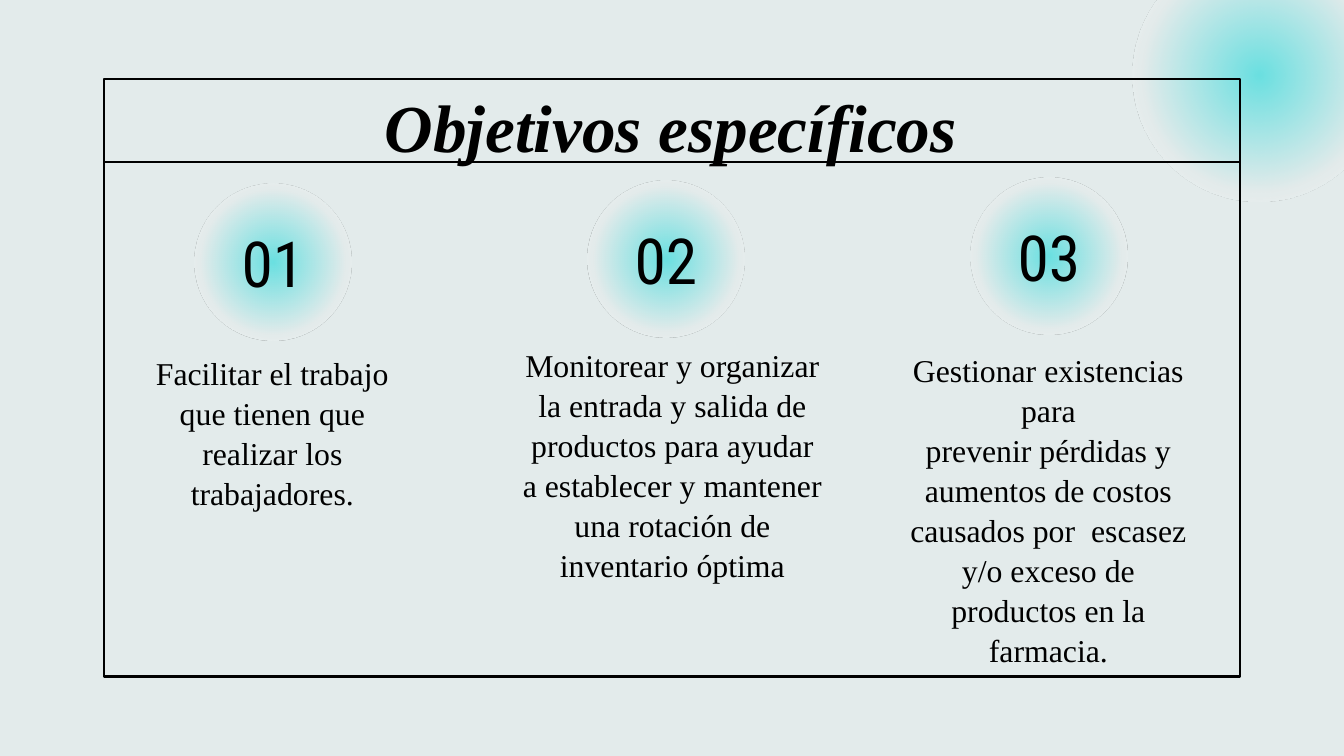
import pptx
import pptx.util
import pptx.oxml
import pptx.oxml.ns
import pptx.dml.color
import pptx.enum.shapes
import pptx.enum.text

BLACK = pptx.dml.color.RGBColor(0x00, 0x00, 0x00)
BACKGROUND = pptx.dml.color.RGBColor(0xE3, 0xEB, 0xEB)
AQUA = pptx.dml.color.RGBColor(0x6A, 0xE0, 0xE1)
WHITE = pptx.dml.color.RGBColor(0xFF, 0xFF, 0xFF)

SERIF = "Times New Roman"
CONDENSED = "Roboto Condensed"
PX = 914400 / 134.4

TITLE = "Objetivos específicos"
OBJECTIVES = [
    {"number": "01", "center": (273, 262), "box": (118, 341, 309, 181),
     "text": "Facilitar el trabajo que tienen que realizar los trabajadores."},
    {"number": "02", "center": (666, 259), "box": (507, 335, 331, 258),
     "text": "Monitorear y organizar la entrada y salida de productos para ayudar "
             "a establecer y mantener una rotación de inventario óptima"},
    {"number": "03", "center": (1049, 256), "box": (894, 341, 309, 335),
     "text": "Gestionar existencias para\nprevenir pérdidas y aumentos de costos "
             "causados por  escasez y/o exceso de productos en la farmacia."},
]
GLOW_STOPS = [(0, AQUA, 100), (65, BACKGROUND, 100), (100, WHITE, 0)]
GLOW_SIZE = 156
NUMBER_SIZE = (118, 58)


def emu(*pixels):
    return [round(value * PX) for value in pixels]


def add_glow(slide, center, size):
    left, top = (value - size / 2 for value in center)
    circle = slide.shapes.add_shape(
        pptx.enum.shapes.MSO_SHAPE.OVAL, *emu(left, top, size, size))
    circle.rotation = 180
    circle.shadow.inherit = False
    circle.line.fill.background()
    stops = "".join(
        f'<a:gs pos="{position * 1000}"><a:srgbClr val="{color}">'
        f'<a:alpha val="{opacity * 1000}"/></a:srgbClr></a:gs>'
        for position, color, opacity in GLOW_STOPS)
    gradient = pptx.oxml.parse_xml(
        f'<a:gradFill {pptx.oxml.ns.nsdecls("a")}><a:gsLst>{stops}</a:gsLst>'
        '<a:path path="circle"><a:fillToRect l="50000" t="50000" r="50000" b="50000"/>'
        '</a:path></a:gradFill>')
    circle.element.spPr.find(pptx.oxml.ns.qn("a:prstGeom")).addnext(gradient)


def add_text(slide, box, text, font, size, emphasis=False, spacing=None):
    text_frame = slide.shapes.add_textbox(*emu(*box)).text_frame
    text_frame.word_wrap = True
    text_frame.vertical_anchor = pptx.enum.text.MSO_ANCHOR.MIDDLE
    inset = pptx.util.Inches(0.1)
    text_frame.margin_left = text_frame.margin_right = inset
    text_frame.margin_top = text_frame.margin_bottom = inset
    text_frame.text = text
    for paragraph in text_frame.paragraphs:
        paragraph.alignment = pptx.enum.text.PP_ALIGN.CENTER
        paragraph.line_spacing = spacing
        for run in paragraph.runs:
            run.font.name = font
            run.font.size = pptx.util.Pt(size)
            run.font.bold = run.font.italic = emphasis
            run.font.color.rgb = BLACK


def add_frame(slide):
    frame = slide.shapes.add_shape(
        pptx.enum.shapes.MSO_SHAPE.RECTANGLE, *emu(104, 79, 1136, 598))
    frame.shadow.inherit = False
    frame.fill.background()
    divider = slide.shapes.add_connector(
        pptx.enum.shapes.MSO_CONNECTOR.STRAIGHT, *emu(104, 162, 1240, 162))
    divider.element.spPr.append(
        pptx.oxml.parse_xml(f'<a:effectLst {pptx.oxml.ns.nsdecls("a")}/>'))
    for outlined in (frame, divider):
        outlined.line.color.rgb = BLACK
        outlined.line.width = pptx.util.Pt(1.5)


def main():
    presentation = pptx.Presentation()
    presentation.slide_width, presentation.slide_height = emu(1344, 756)
    slide = presentation.slides.add_slide(presentation.slide_layouts[6])
    slide.background.fill.solid()
    slide.background.fill.fore_color.rgb = BACKGROUND

    add_glow(slide, (1259, 75), 252)
    add_frame(slide)
    add_text(slide, (105, 79, 1132, 93), TITLE, SERIF, 36, emphasis=True)

    width, height = NUMBER_SIZE
    for objective in OBJECTIVES:
        x, y = objective["center"]
        add_glow(slide, (x, y), GLOW_SIZE)
        add_text(slide, (x - width / 2, y - height / 2, width, height),
                 objective["number"], CONDENSED, 34)
        add_text(slide, objective["box"], objective["text"], SERIF, 17, spacing=1.05)

    presentation.save("out.pptx")


if __name__ == "__main__":
    main()
